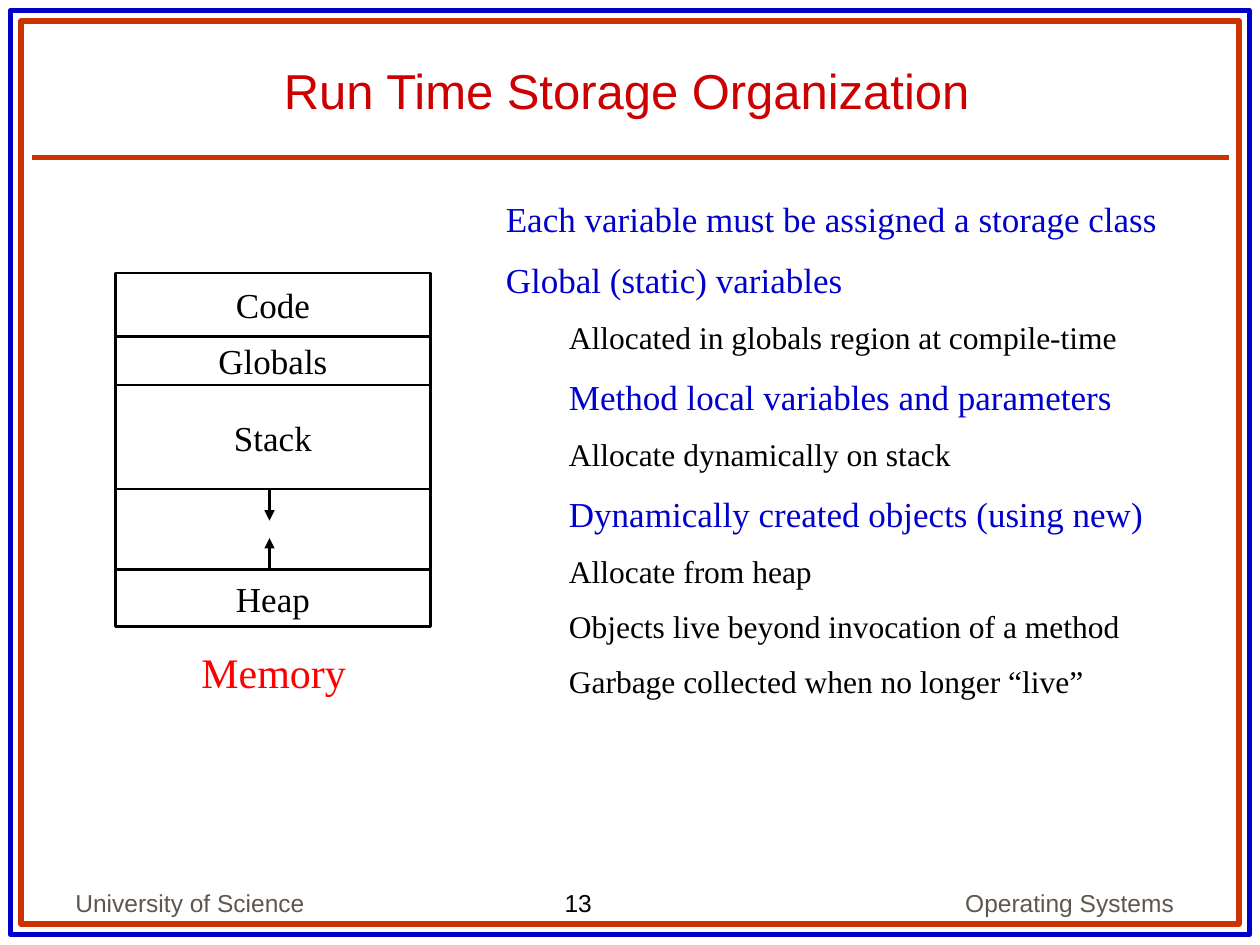
from pptx import Presentation
from pptx.dml.color import RGBColor as Rgb
from pptx.enum.shapes import MSO_CONNECTOR as Conn, MSO_SHAPE as Form
from pptx.enum.text import MSO_ANCHOR as Anchor, PP_ALIGN as Align
from pptx.oxml.ns import qn
from pptx.util import Pt
from lxml.etree import SubElement as Sub

INK = {"blue": "0000CC", "rust": "CC3300", "title": "CC0000", "gray": "5E574E",
       "black": "000000", "red": "FF0000"}
SANS, SERIF = "Arial", "Times New Roman"

PARTS = [("Code", 36.5), ("Globals", 27.5), ("Stack", 59.5), ("", 46), ("Heap", 32.5)]

POINTS = [
    (0, "blue", "Each variable must be assigned a storage class"),
    (0, "blue", "Global (static) variables"),
    (36, "black", "Allocated in globals region at compile-time"),
    (36, "blue", "Method local variables and parameters"),
    (36, "black", "Allocate dynamically on stack"),
    (36, "blue", "Dynamically created objects (using new)"),
    (36, "black", "Allocate from heap"),
    (36, "black", "Objects live beyond invocation of a method"),
    (36, "black", "Garbage collected when no longer “live”"),
]


def color(name):
    return Rgb.from_string(INK[name])


def write(para, text, size, font, ink, align=Align.LEFT):
    para.alignment = align
    run = para.add_run()
    run.text = text
    run.font.size = Pt(size)
    run.font.name = font
    run.font.color.rgb = color(ink)


def area(slide, box, anchor=Anchor.TOP, wrap=True):
    frame = slide.shapes.add_textbox(*map(Pt, box)).text_frame
    frame.word_wrap = wrap
    frame.vertical_anchor = anchor
    return frame


def label(slide, box, text, size, font, ink, align=Align.LEFT,
          anchor=Anchor.TOP, wrap=True):
    frame = area(slide, box, anchor, wrap)
    write(frame.paragraphs[0], text, size, font, ink, align)


def rect(slide, box, ink, width):
    shape = slide.shapes.add_shape(Form.RECTANGLE, *map(Pt, box))
    shape.shadow.inherit = False
    shape.fill.background()
    shape.line.color.rgb = color(ink)
    shape.line.width = Pt(width)
    return shape


def rule(slide, ends, ink, width, head=False):
    line = slide.shapes.add_connector(Conn.STRAIGHT, *map(Pt, ends))
    line.line.color.rgb = color(ink)
    line.line.width = Pt(width)
    if head:
        Sub(line.line._get_or_add_ln(), qn("a:tailEnd"), type="triangle")
    Sub(line._element.spPr, qn("a:effectLst"))


def border(slide, box):
    left, top, wide, high = box
    rect(slide, box, "blue", 3)
    rect(slide, (left + 6, top + 6, wide - 12, high - 12), "rust", 3)
    rule(slide, (left + 12, top + 84, left + wide - 12, top + 84), "rust", 3)


def footer(slide, box):
    left, top, wide, high = box
    label(slide, (left, top, 150, high), "University of Science", 14, SANS, "gray",
          anchor=Anchor.BOTTOM)
    label(slide, (left + 279.5, top + 12, 78.5, 24.5), "13", 14, SANS, "black", wrap=False)
    label(slide, (left + wide - 198, top, 198, high), "Operating Systems", 14, SANS, "gray",
          Align.RIGHT, Anchor.BOTTOM)


def memory(slide, box):
    left, top, wide, high = box
    mid = left + 88
    for text, tall in PARTS:
        cell = rect(slide, (left, top, wide, tall), "black", 1.5)
        if text:
            frame = cell.text_frame
            frame.word_wrap = False
            frame.vertical_anchor = Anchor.MIDDLE
            write(frame.paragraphs[0], text, 20, SERIF, "black", Align.CENTER)
        else:
            low = top + tall
            rule(slide, (mid, top, mid, top + 18), "black", 1.5, True)
            rule(slide, (mid, low, mid, low - 18), "black", 1.5, True)
        top += tall
    label(slide, (left + 42, top + 8, 97, 36), "Memory", 24, SERIF, "red", wrap=False)


def points(slide, box):
    frame = area(slide, box)
    frame.margin_top = Pt(5)
    for spot, (inset, ink, text) in enumerate(POINTS):
        para = frame.add_paragraph() if spot else frame.paragraphs[0]
        props = para._p.get_or_add_pPr()
        props.set("marL", str(Pt(inset)))
        props.set("indent", "0")
        main = ink == "blue"
        if spot:
            para.space_before = Pt(11 if main else 10)
        write(para, text, 20 if main else 18, SERIF, ink)


def main():
    deck = Presentation()
    deck.slide_width, deck.slide_height = Pt(720), Pt(540)
    slide = deck.slides.add_slide(deck.slide_layouts[6])
    border(slide, (6, 6, 708, 528))
    footer(slide, (36, 492, 642, 36))
    label(slide, (32, 18, 652, 54), "Run Time Storage Organization", 28, SANS, "title",
          Align.CENTER, Anchor.BOTTOM)
    points(slide, (282, 108, 398, 369))
    memory(slide, (66, 156, 180, 202))
    deck.save("out.pptx")


if __name__ == "__main__":
    main()
